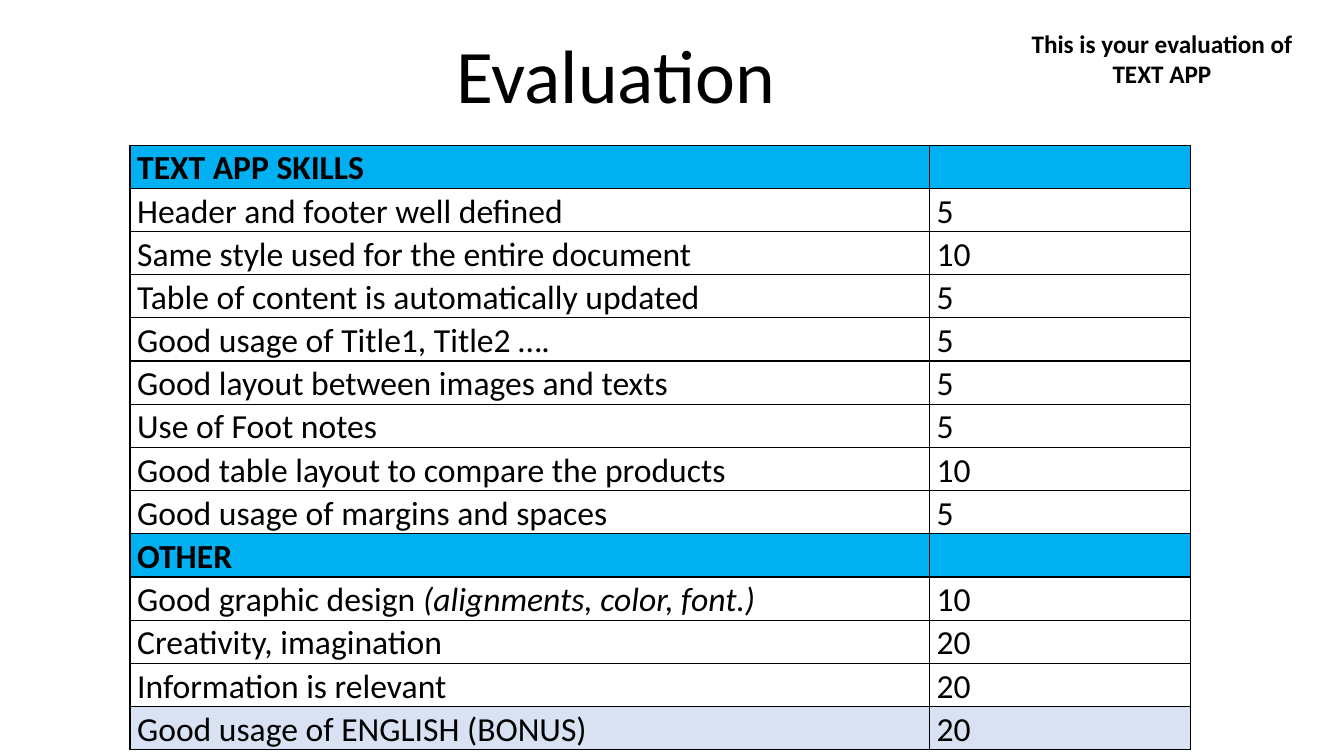
import pptx
import pptx.dml.color
import pptx.enum.text
import pptx.oxml
import pptx.oxml.ns
import pptx.util
from pptx.util import Inches

COLORS = {"text": "000000", "border": "000000", "section": "00B0F0", "bonus": "D9E2F3"}
FONT = "Calibri"

TITLE = "Evaluation"
NOTE = ["This is your evaluation of", "TEXT APP"]

# Criterion, italic detail, points, kind of row
ROWS = [
    ("TEXT APP SKILLS", "", "", "section"),
    ("Header and footer well defined", "", "5", ""),
    ("Same style used for the entire document", "", "10", ""),
    ("Table of content is automatically updated", "", "5", ""),
    ("Good usage of Title1, Title2 ….", "", "5", ""),
    ("Good layout between images and texts", "", "5", ""),
    ("Use of Foot notes", "", "5", ""),
    ("Good table layout to compare the products", "", "10", ""),
    ("Good usage of margins and spaces", "", "5", ""),
    ("OTHER", "", "", "section"),
    ("Good graphic design", " (alignments, color, font.)", "10", ""),
    ("Creativity, imagination", "", "20", ""),
    ("Information is relevant", "", "20", ""),
    ("Good usage of ENGLISH (BONUS)", "", "20", "bonus"),
]
COL_WIDTHS = [7.93, 2.59]
ROW_HEIGHT = 0.41


def add_text(p, text, size=24, bold=False, italic=False, align=None, spacing=None):
    r = p.add_run()
    r.text = text
    r.font.name = FONT
    r.font.size = pptx.util.Pt(size)
    r.font.bold = bold
    r.font.italic = italic
    r.font.color.rgb = pptx.dml.color.RGBColor.from_string(COLORS["text"])
    if align is not None:
        p.alignment = align
    if spacing is not None:
        p.line_spacing = spacing


def add_box(slide, left, top, width, height, lines, **fmt):
    tf = slide.shapes.add_textbox(*map(Inches, (left, top, width, height))).text_frame
    tf.word_wrap = False
    tf.auto_size = pptx.enum.text.MSO_AUTO_SIZE.SHAPE_TO_FIT_TEXT
    for i, line in enumerate(lines):
        p = tf.add_paragraph() if i else tf.paragraphs[0]
        add_text(p, line, **fmt)


def style_cell(cell, kind):
    cell.margin_left = cell.margin_right = Inches(0.07)
    cell.margin_top = cell.margin_bottom = 0
    if kind:
        cell.fill.solid()
        cell.fill.fore_color.rgb = pptx.dml.color.RGBColor.from_string(COLORS[kind])
    else:
        cell.fill.background()
    tc_pr = cell._tc.get_or_add_tcPr()
    for i, side in enumerate("LRTB"):
        tc_pr.insert(i, pptx.oxml.parse_xml(
            f'<a:ln{side} {pptx.oxml.ns.nsdecls("a")} w="12700"><a:solidFill>'
            f'<a:srgbClr val="{COLORS["border"]}"/></a:solidFill></a:ln{side}>'))


def add_score_table(slide, left, top):
    frame = slide.shapes.add_table(
        len(ROWS), len(COL_WIDTHS), Inches(left), Inches(top),
        Inches(sum(COL_WIDTHS)), Inches(ROW_HEIGHT * len(ROWS)))
    table = frame.table
    for col, width in zip(table.columns, COL_WIDTHS):
        col.width = Inches(width)
    for row, (criterion, detail, points, kind) in zip(table.rows, ROWS):
        row.height = Inches(ROW_HEIGHT)
        for cell, text in zip(row.cells, (criterion, points)):
            style_cell(cell, kind)
            if text:
                add_text(cell.text_frame.paragraphs[0], text,
                         bold=kind == "section", spacing=1.07)
        if detail:
            add_text(row.cells[0].text_frame.paragraphs[0], detail, italic=True)


def main():
    prs = pptx.Presentation()
    prs.slide_width, prs.slide_height = Inches(13.33), Inches(7.5)
    slide = prs.slides.add_slide(prs.slide_layouts[6])
    add_box(slide, 4.43, 0.23, 3.4, 1.01, [TITLE], size=54)
    add_score_table(slide, 1.29, 1.44)
    add_box(slide, 10.12, 0.23, 2.81, 0.71, NOTE, size=18, bold=True,
            align=pptx.enum.text.PP_ALIGN.CENTER)
    prs.save("out.pptx")


if __name__ == "__main__":
    main()
